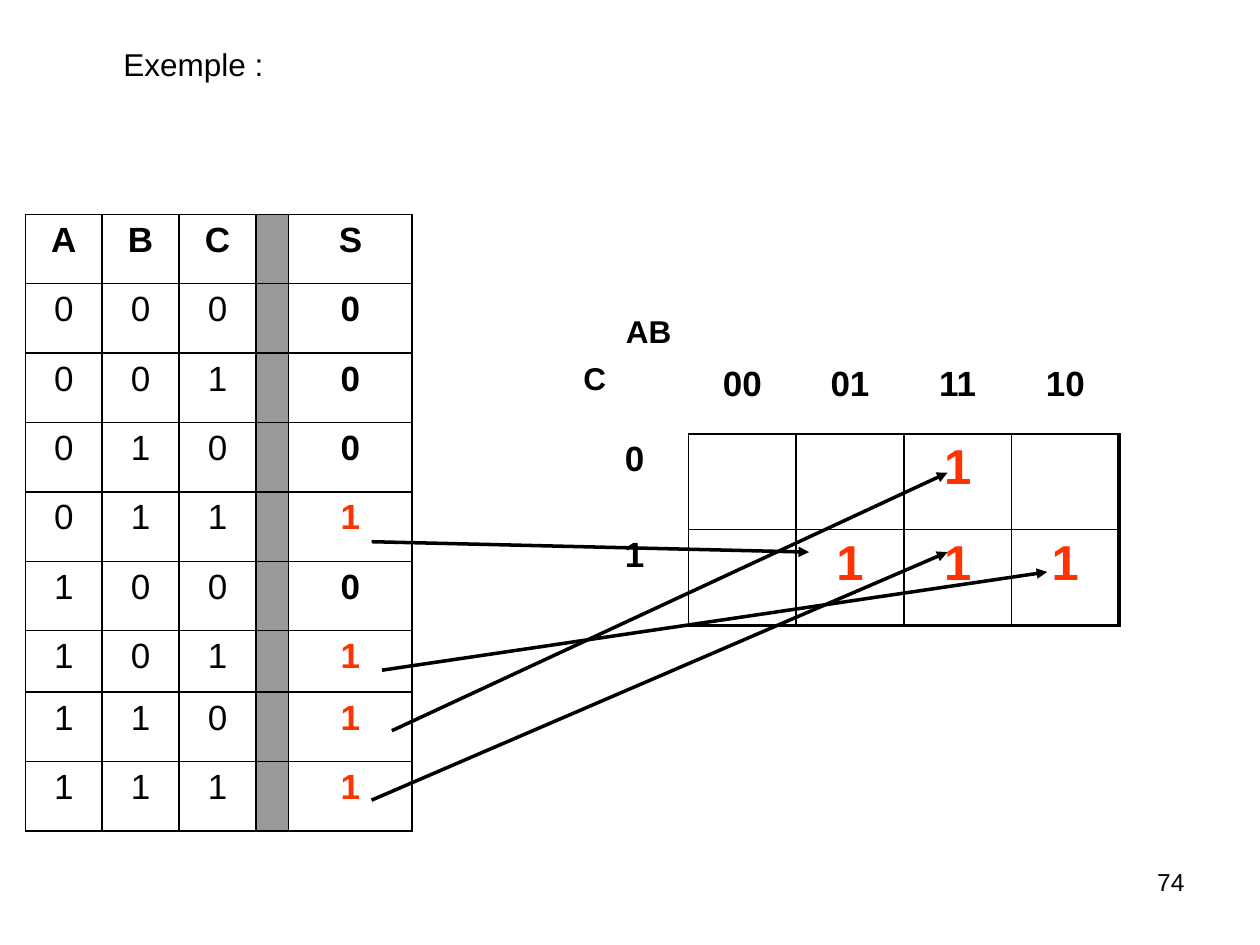
from dataclasses import dataclass
from itertools import product

from lxml.etree import SubElement
from pptx import Presentation
from pptx.dml.color import RGBColor
from pptx.enum.shapes import MSO_CONNECTOR as Connector
from pptx.enum.text import MSO_AUTO_SIZE as AutoSize, PP_ALIGN as Align
from pptx.oxml.ns import qn
from pptx.util import Cm, Pt

NO_STYLE = "{2D5ABB26-0587-4C30-8999-92F81FD0307C}"


@dataclass(frozen=True)
class Theme:
    font: str = "Arial"
    ink: str = "000000"
    accent: str = "FF3300"
    divider: str = "999999"
    page: int = 14
    label: int = 18
    cell: int = 20
    mark: int = 28
    thin: float = 1
    thick: float = 2.25
    arrow: float = 2


THEME = Theme()


def add_run(p, text, size, color=THEME.ink, bold=False):
    r = p.add_run()
    r.text = text
    r.font.name = THEME.font
    r.font.size = Pt(size)
    r.font.bold = bold
    r.font.color.rgb = RGBColor.from_string(color)


def add_label(slide, text, box, size=THEME.label, bold=False, align=Align.LEFT,
              wrap=True, auto_size=AutoSize.SHAPE_TO_FIT_TEXT):
    sp = slide.shapes.add_textbox(*map(Cm, box))
    tf = sp.text_frame
    tf.word_wrap = wrap
    tf.auto_size = auto_size
    p = tf.paragraphs[0]
    p.alignment = align
    add_run(p, text, size, bold=bold)


def add_arrow(slide, start, end):
    line = slide.shapes.add_connector(Connector.STRAIGHT, *map(Cm, start + end))
    line.line.color.rgb = RGBColor.from_string(THEME.ink)
    line.line.width = Pt(THEME.arrow)
    SubElement(line.line._get_or_add_ln(), qn("a:tailEnd"), type="triangle")
    SubElement(line._element.spPr, qn("a:effectLst"))


def add_plain_table(slide, left, top, widths, heights):
    """Add a table without bands, fills or grid lines."""
    frame = slide.shapes.add_table(len(heights), len(widths), Cm(left), Cm(top),
                                   Cm(sum(widths)), Cm(sum(heights)))
    table = frame.table
    table.first_row = table.horz_banding = False
    table._tbl.tblPr.find(qn("a:tableStyleId")).text = NO_STYLE
    for column, width in zip(table.columns, widths):
        column.width = Cm(width)
    for row, height in zip(table.rows, heights):
        row.height = Cm(height)
    return table


def set_borders(cell, **widths):
    """Draw the named sides (L, R, T, B) with widths in points."""
    tc_pr = cell._tc.get_or_add_tcPr()
    for side in "LRTB":
        if side in widths:
            ln = SubElement(tc_pr, qn(f"a:ln{side}"), w=str(Pt(widths[side])))
            fill = SubElement(ln, qn("a:solidFill"))
            SubElement(fill, qn("a:srgbClr"), val=THEME.ink)


def fill_cell(cell, text="", size=THEME.cell, color=THEME.ink, bold=True, fill=None):
    if fill:
        cell.fill.solid()
        cell.fill.fore_color.rgb = RGBColor.from_string(fill)
    else:
        cell.fill.background()
    if text:
        p = cell.text_frame.paragraphs[0]
        p.alignment = Align.CENTER
        add_run(p, text, size, color, bold)


def majority(*bits):
    return int(sum(bits) >= 2)


def add_truth_table(slide):
    heights = [1.4] * 6 + [1.24] + [1.4] * 2
    table = add_plain_table(slide, 0.51, 4.32, [1.55] * 3 + [0.66, 2.49], heights)
    rows = [["A", "B", "C", "", "S"]]
    rows += [[*bits, "", majority(*bits)] for bits in product((0, 1), repeat=3)]
    for i, row in enumerate(rows):
        for j, value in enumerate(row):
            cell = table.cell(i, j)
            set_borders(cell, **dict.fromkeys("LRTB", THEME.thin))
            is_output = j == 4
            fill_cell(cell, str(value),
                      color=THEME.accent if is_output and value == 1 else THEME.ink,
                      bold=i == 0 or is_output,
                      fill=THEME.divider if j == 3 else None)


def add_karnaugh_map(slide):
    table = add_plain_table(slide, 11.71, 6.32, [2.17] * 5, [1.93] * 3)
    fill_cell(table.cell(0, 0))
    columns = [(0, 0), (0, 1), (1, 1), (1, 0)]
    for j, (a, b) in enumerate(columns, 1):
        header = table.cell(0, j)
        header.margin_top, header.margin_bottom = Cm(1.04), Cm(0.6)
        set_borders(header, B=THEME.thin)
        fill_cell(header, f"{a}{b}")
    for c in (0, 1):
        side = table.cell(c + 1, 0)
        set_borders(side, R=THEME.thin)
        fill_cell(side, str(c))
        for j, (a, b) in enumerate(columns, 1):
            cell = table.cell(c + 1, j)
            set_borders(cell, L=THEME.thin, T=THEME.thin,
                        R=THEME.thick if j == len(columns) else THEME.thin,
                        B=THEME.thick if c == 1 else THEME.thin)
            fill_cell(cell, "1" if majority(a, b, c) else "", THEME.mark, THEME.accent)


def main():
    prs = Presentation()
    prs.slide_width, prs.slide_height = Cm(25.4), Cm(19.05)
    slide = prs.slides.add_slide(prs.slide_layouts[6])

    add_label(slide, "74", (18.21, 17.35, 5.92, 1.32), THEME.page,
              align=Align.RIGHT, auto_size=AutoSize.NONE)
    add_truth_table(slide)
    add_karnaugh_map(slide)
    add_label(slide, "AB", (12.37, 6.17, 2.16, 1.02), bold=True)
    add_label(slide, "C", (11.51, 7.11, 1.3, 1.02), bold=True)
    for start, end in [((7.49, 10.92), (16.31, 11.13)),
                       ((7.7, 13.51), (21.11, 11.53)),
                       ((7.9, 14.73), (19.1, 9.53)),
                       ((7.49, 16.13), (19.1, 11.13))]:
        add_arrow(slide, start, end)
    add_label(slide, "Exemple :", (2.24, 0.79, 3.33, 1.02), wrap=False)

    prs.save("out.pptx")


if __name__ == "__main__":
    main()
